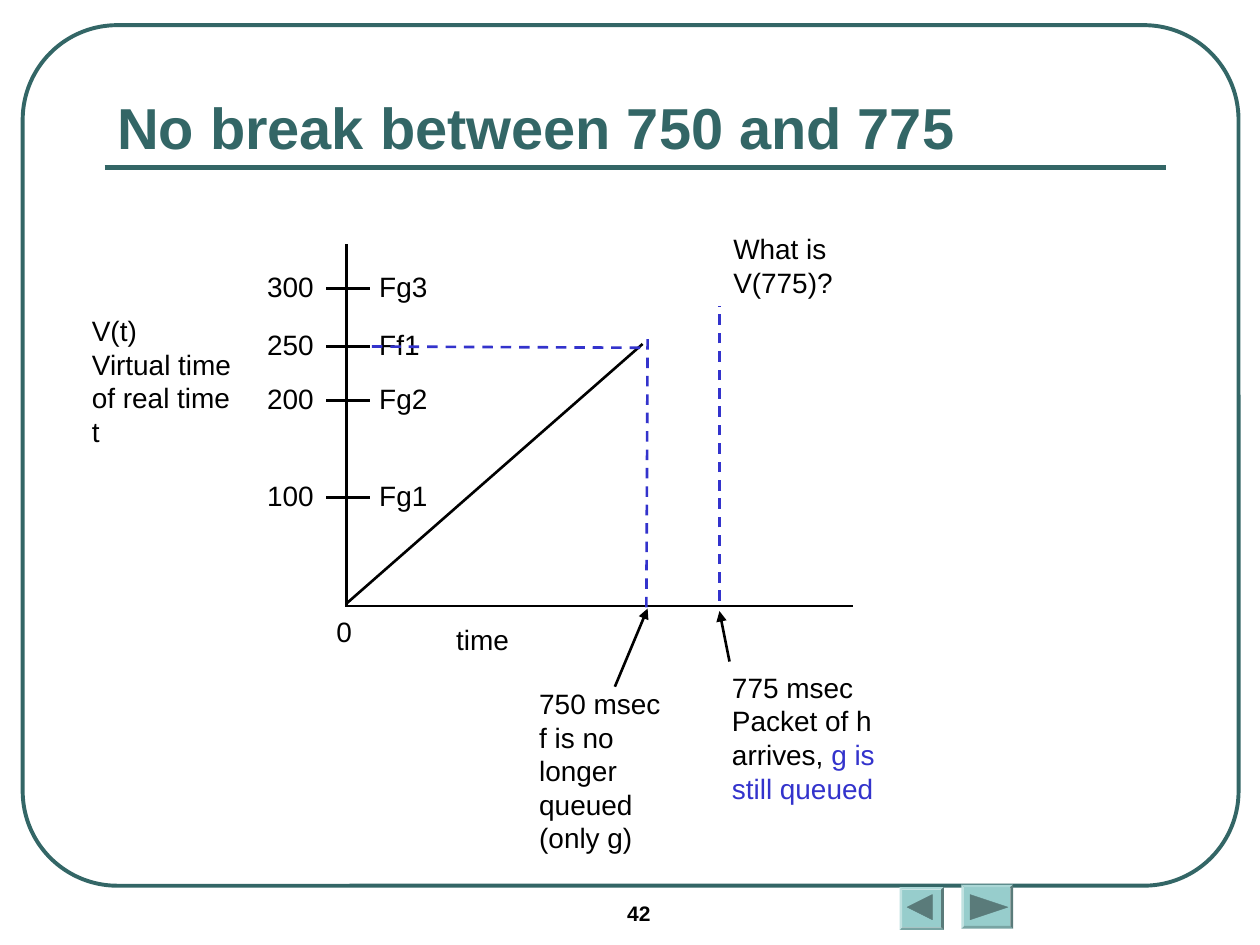
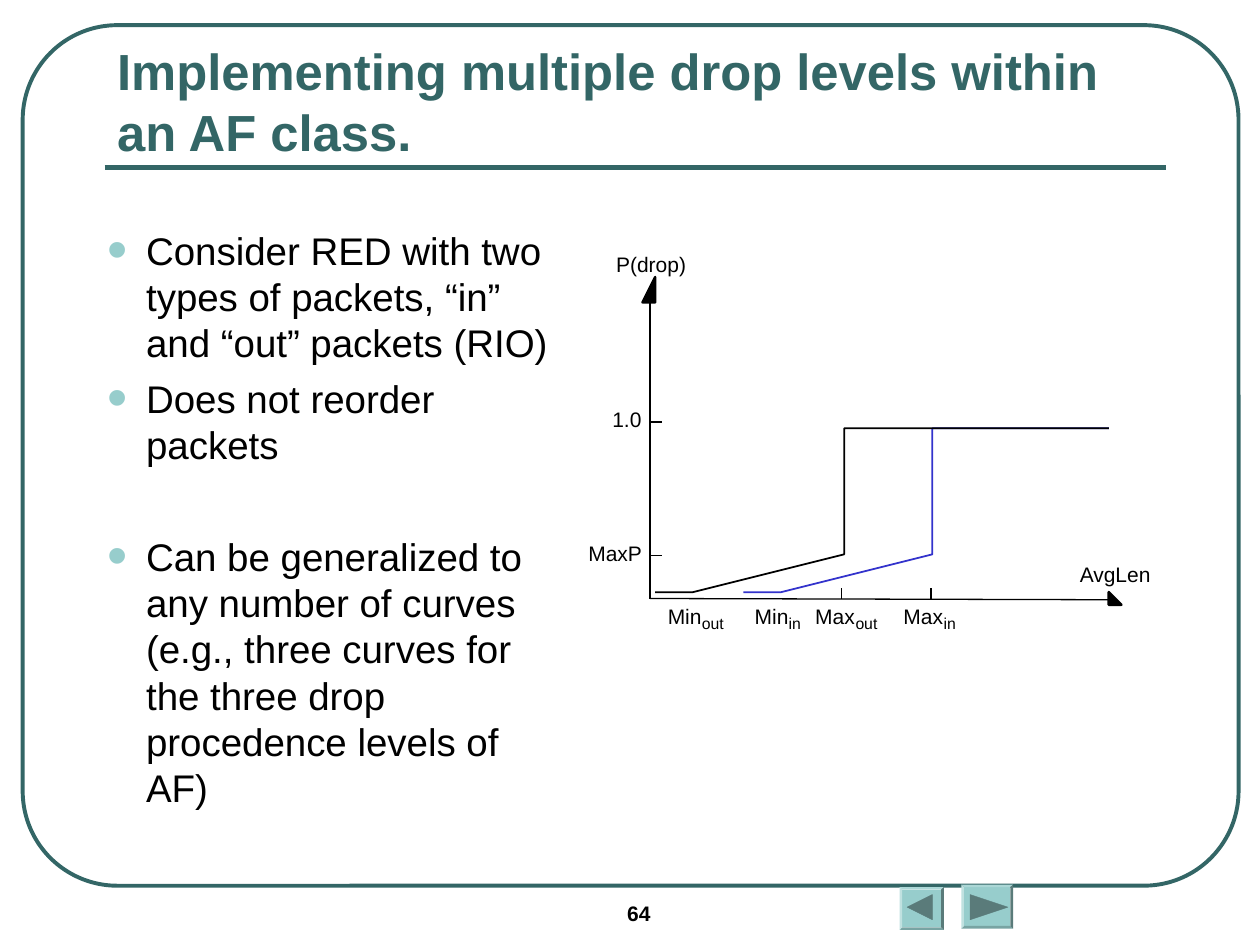
from lxml import etree
from pptx import Presentation
from pptx import util as u
from pptx.dml.color import RGBColor
from pptx.enum import dml, shapes, text
from pptx.oxml.ns import qn

rgb = RGBColor.from_string
TEAL, AQUA, SHADE, BLUE, BLACK = "336666", "97CDCC", "5A7B7A", "3333CC", "000000"

deck = Presentation()
deck.slide_width, deck.slide_height = u.Inches(10), u.Inches(7.5)
cell = deck.slide_width // 100


def write(slide, wording, place, size=16, colour=BLACK, bold=False, wrap=True,
          inset=(0, 0), accent="", holder=None):
    spot = [int(n * cell) for n in place]
    box = holder or slide.shapes.add_textbox(*spot)
    box.left, box.top, box.width, box.height = spot
    frame = box.text_frame
    frame.word_wrap = wrap
    frame.auto_size = text.MSO_AUTO_SIZE.NONE
    frame.margin_left = frame.margin_right = int(inset[0] * cell)
    frame.margin_top = frame.margin_bottom = int(inset[1] * cell)
    frame.text = wording
    if accent:
        frame.paragraphs[-1].add_run().text = accent
    for paragraph in frame.paragraphs:
        paragraph.alignment = text.PP_ALIGN.LEFT
        for run in paragraph.runs:
            run.font.name, run.font.size, run.font.bold = "Arial", u.Pt(size), bold
            run.font.color.rgb = rgb(BLUE if run.text == accent else colour)
    return box


def trace(slide, points, colour=BLACK, width=1.5, fill=None, dashed=False, arrow=False):
    if len(points) == 2:
        ends = [int(n * cell) for point in points for n in point]
        mark = slide.shapes.add_connector(shapes.MSO_CONNECTOR.STRAIGHT, *ends)
    else:
        builder = slide.shapes.build_freeform(*points[0], scale=cell)
        builder.add_line_segments(points[1:], close=bool(fill))
        mark = builder.convert_to_shape()
        if fill:
            mark.fill.solid()
            mark.fill.fore_color.rgb = rgb(fill)
        else:
            mark.fill.background()
    mark.line.color.rgb = rgb(colour)
    mark.line.width = u.Pt(width)
    if dashed:
        mark.line.dash_style = dml.MSO_LINE.DASH
    properties = mark._element.spPr
    if arrow:
        etree.SubElement(properties.find(qn("a:ln")), qn("a:tailEnd"), type="triangle")
    etree.SubElement(properties, qn("a:effectLst"))
    return mark


pages = []
for layout, heading, size, number in (
    (5, "No break between 750 and 775", 33, "42"),
    (1, "Implementing multiple drop levels within an AF class.", 29, "64"),
):
    page = deck.slides.add_slide(deck.slide_layouts[layout])
    pages.append(page)

    border = page.shapes.add_shape(shapes.MSO_SHAPE.ROUNDED_RECTANGLE,
                                   *[int(n * cell) for n in (1.8, 2, 96.5, 68.3)])
    border.adjustments[0] = 0.11
    border.fill.background()
    border.line.color.rgb = rgb(TEAL)
    border.line.width = u.Pt(2.25)
    border.shadow.inherit = False
    trace(page, [(8.3, 13.3), (92.5, 13.3)], TEAL, 3)

    for place, arrow_points in (
        ((71.4, 70.4, 3.5, 3.4), [(72, 72.1), (74.2, 71), (74.2, 73.2)]),
        ((76.3, 70.2, 4.1, 3.5), [(77.2, 70.8), (79.5, 72), (77.2, 73.1)]),
    ):
        button = page.shapes.add_shape(shapes.MSO_SHAPE.BEVEL, *[int(n * cell) for n in place])
        button.adjustments[0] = 0.06
        button.fill.solid()
        button.fill.fore_color.rgb = rgb(AQUA)
        button.line.fill.background()
        button.shadow.inherit = False
        trace(page, arrow_points, SHADE, 0.25, fill=SHADE)

    write(page, number, (48.8, 71, 11.7, 3.3), 12, bold=True, inset=(1, 0.5))
    title = write(page, heading, (8.3, 5.8, 84.2, 7.5), size, TEAL, True,
                  inset=(1, 0.5), holder=page.shapes.title)
    title.text_frame.vertical_anchor = text.MSO_ANCHOR.BOTTOM

timeline, dropping = pages

trace(timeline, [(27.5, 19.4), (27.5, 48.2)])
trace(timeline, [(27.4, 48.1), (67.7, 48.1)])
for row, value, finish in ((39.5, "100", "Fg1"), (31.8, "200", "Fg2"),
                           (27.5, "250", "Ff1"), (22.9, "300", "Fg3")):
    trace(timeline, [(25.9, row), (29.4, row)])
    write(timeline, value, (21.2, row - 1.5, 4.8, 2.7))
    write(timeline, finish, (30.1, row - 1.5, 4.8, 2.7))

write(timeline, "time", (36.2, 49.4, 6.2, 2.7))
write(timeline, "0", (26.7, 48.8, 1.9, 2.7))
write(timeline, "V(t)\nVirtual time of real time t", (7.3, 24.9, 12, 10.7))
write(timeline, "What is V(775)?", (58.2, 18.4, 12, 5.3))
write(timeline, "775 msec\nPacket of h arrives, ", (58.1, 53.2, 12, 10.7),
      accent="g is still queued")
departure = write(timeline, "750 msec\nf is no longer queued (only g)", (42.8, 54.5, 12, 13.3))

trace(timeline, [(57.9, 52.5), (57.1, 48.5)], arrow=True)
trace(timeline, [(48.8, 54.5), (51.4, 48.3)], arrow=True).begin_connect(departure, 0)
trace(timeline, [(27.5, 47.9), (51, 27.3)])
for guide in ([(57.1, 47.7), (57.1, 24.3)], [(51.3, 48.2), (51.4, 26.7)],
              [(50.8, 27.6), (29.3, 27.5)]):
    trace(timeline, guide, BLUE, dashed=True)

points = write(
    dropping,
    "Consider RED with two types of packets, “in” and “out” packets (RIO)\n"
    "Does not reorder packets\n"
    "Can be generalized to any number of curves (e.g., three curves for the three drop "
    "procedence levels of AF)",
    (2.5, 17.5, 43.3, 49.2), 22, inset=(1, 0.5), holder=dropping.placeholders[1])
for paragraph, gap in zip(points.text_frame.paragraphs, (5.5, 5.5, 37.5)):
    paragraph.space_before = u.Pt(gap)
    layout = paragraph._p.get_or_add_pPr()
    layout.set("marL", str(int(8.1 * cell)))
    layout.set("indent", str(int(-3.1 * cell)))
    tint = etree.SubElement(layout, qn("a:buClr"))
    etree.SubElement(tint, qn("a:srgbClr"), val=AQUA)
    etree.SubElement(layout, qn("a:buSzPct"), val="150000")
    etree.SubElement(layout, qn("a:buFont"), typeface="Arial")
    etree.SubElement(layout, qn("a:buChar"), char="•")

left, base, top, knee = 51.6, 47.5, 33.5, 44.1
for stroke in ([(left, base), (left, 23.5)], [(left, base), (88.2, 47.6)],
               [(left, top), (52.5, top)], [(left, knee), (52.5, knee)],
               [(66.8, base), (66.8, 46.7)], [(73.9, base), (73.9, 46.7)]):
    trace(dropping, stroke, width=0.75)
for tip in ([(51.9, 23.7), (left, 22.5), (51.4, 23.7)],
            [(88, 47.8), (89.2, 47.5), (88, 47.2)]):
    trace(dropping, tip, fill=BLACK)

for wording, col, row, width in (("P(drop)", 48.9, 20, 5.6), ("1.0", 48.6, 32.3, 2.3),
                                 ("MaxP", 46.7, 42.9, 4.3), ("AvgLen", 85.7, 44.6, 5.6)):
    write(dropping, wording, (col, row, width, 2), 12, wrap=False)
for limit, kind, col, width in (("Min", "out", 53, 2.7), ("Min", "in", 59.9, 2.7),
                                ("Max", "out", 64.7, 3.2), ("Max", "in", 71.7, 3.2)):
    write(dropping, limit, (col, 47.9, width, 2), 12, wrap=False)
    write(dropping, kind, (col + width, 48.7, 1.7, 1.5), 9, wrap=False)

for start, bend, limit, colour in ((58.9, 62.4, 73.9, BLUE), (left, 55.4, 66.8, BLACK)):
    trace(dropping, [(start, 47.4), (bend, 47.4), (limit, knee), (limit, top), (87.7, top)],
          colour, 1)

deck.save("out.pptx")
